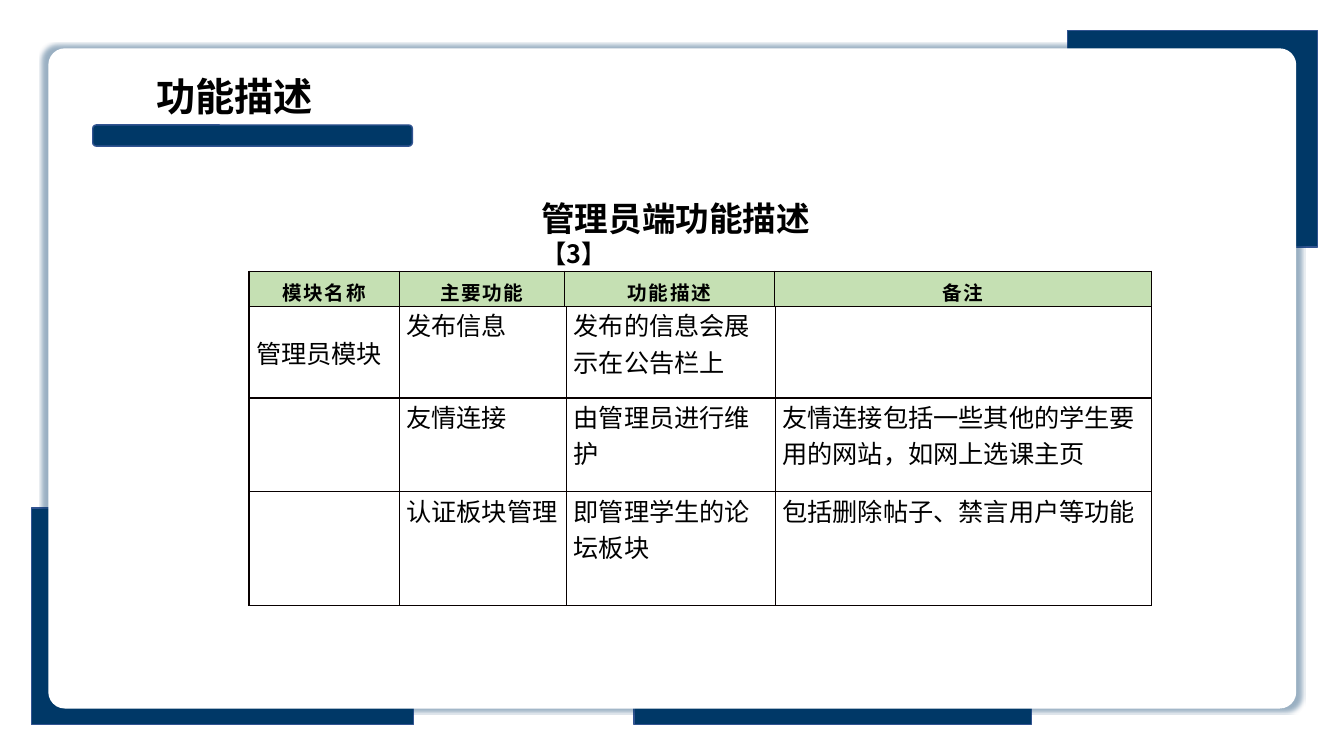
from dataclasses import dataclass, field
from typing import Any

from lxml.etree import SubElement
from pptx import Presentation
from pptx.dml.color import RGBColor
from pptx.enum.shapes import MSO_SHAPE
from pptx.enum.text import MSO_ANCHOR, PP_ALIGN
from pptx.oxml.ns import qn
from pptx.util import Inches, Pt

FONT = "Noto Sans CJK SC"
NAVY, EDGE, WHITE, BLACK = "003867", "325491", "FFFFFF", "000000"
BORDER, HEADER_GREEN = "080000", "C5E0B3"

presentation = Presentation()
presentation.slide_width = Inches(13.333)
presentation.slide_height = Inches(7.5)
slide = presentation.slides.add_slide(presentation.slide_layouts[6])


def across(percent: float) -> int:
    return round(presentation.slide_width * percent / 100)


def down(percent: float) -> int:
    return round(presentation.slide_height * percent / 100)


def colour(value: str) -> RGBColor:
    return RGBColor.from_string(value)


def set_all(target: Any, values: dict[str, Any]) -> None:
    for name, value in values.items():
        setattr(target, name, value)


# All boxes are given in percent of the slide's width and height
@dataclass
class Box:
    left: float
    top: float
    width: float
    height: float

    def lengths(self) -> tuple[int, int, int, int]:
        return across(self.left), down(self.top), across(self.width), down(self.height)


@dataclass
class Panel:
    box: Box
    kind: MSO_SHAPE = MSO_SHAPE.RECTANGLE
    fill: str = NAVY
    line: str | None = EDGE
    corner: float | None = None


@dataclass
class Label:
    box: Box
    runs: list[tuple[str, int]]
    wrap: bool


@dataclass
class Grid:
    left: float
    top: float
    columns: list[float]
    rows: list[float]
    cells: list[list[str]]
    size: int
    margins: tuple[float, float]
    bold: bool = False
    fill: str | None = None
    spacing: int = 0
    centred: bool = False
    middle: set[tuple[int, int]] = field(default_factory=set)


def add_run(paragraph: Any, text: str, size: int, bold: bool, spacing: int = 0) -> None:
    run = paragraph.add_run()
    run.text = text
    set_all(run.font, {"name": FONT, "size": Pt(size), "bold": bold})
    run.font.color.rgb = colour(BLACK)
    properties = run.font._element
    SubElement(properties, qn("a:ea"), typeface=FONT)
    if spacing:
        properties.set("spc", str(spacing))


def draw_panel(panel: Panel) -> Any:
    shape = slide.shapes.add_shape(panel.kind, *panel.box.lengths())
    shape.shadow.inherit = False
    shape.fill.solid()
    shape.fill.fore_color.rgb = colour(panel.fill)
    if panel.line:
        shape.line.color.rgb = colour(panel.line)
        shape.line.width = Pt(1)
    else:
        shape.line.fill.background()
    if panel.corner is not None:
        shape.adjustments[0] = panel.corner
    return shape


def add_glow_shadow(shape: Any) -> None:
    effects = shape._element.spPr.find(qn("a:effectLst"))
    shadow = SubElement(effects, qn("a:outerShdw"), blurRad=str(Pt(2)), dist="0", dir="0",
                        sx="101000", sy="101000", algn="ctr", rotWithShape="0")
    tint = SubElement(shadow, qn("a:srgbClr"), val=NAVY)
    SubElement(tint, qn("a:alpha"), val="40000")


def draw_label(label: Label) -> None:
    frame = slide.shapes.add_textbox(*label.box.lengths()).text_frame
    frame.word_wrap = label.wrap
    paragraph = frame.paragraphs[0]
    for index, (text, size) in enumerate(label.runs):
        if index:
            paragraph.add_line_break()
        add_run(paragraph, text, size, True)


def add_borders(cell: Any) -> None:
    properties = cell._tc.get_or_add_tcPr()
    for side in ("lnL", "lnR", "lnT", "lnB"):
        line = SubElement(properties, qn(f"a:{side}"), w=str(Pt(1)))
        SubElement(SubElement(line, qn("a:solidFill")), qn("a:srgbClr"), val=BORDER)


def draw_grid(grid: Grid) -> None:
    box = Box(grid.left, grid.top, sum(grid.columns), sum(grid.rows))
    table = slide.shapes.add_table(len(grid.rows), len(grid.columns), *box.lengths()).table
    set_all(table, {"first_row": False, "horz_banding": False})
    for column, width in zip(table.columns, grid.columns):
        column.width = across(width)
    for row, height in zip(table.rows, grid.rows):
        row.height = down(height)
    side, edge = (Inches(margin) for margin in grid.margins)
    for row_index, texts in enumerate(grid.cells):
        for column_index, text in enumerate(texts):
            cell = table.cell(row_index, column_index)
            in_middle = grid.centred or (row_index, column_index) in grid.middle
            set_all(cell, {
                "margin_left": side, "margin_right": side,
                "margin_top": edge, "margin_bottom": edge,
                "vertical_anchor": MSO_ANCHOR.MIDDLE if in_middle else MSO_ANCHOR.TOP,
            })
            add_borders(cell)
            if grid.fill:
                cell.fill.solid()
                cell.fill.fore_color.rgb = colour(grid.fill)
            else:
                cell.fill.background()
            paragraph = cell.text_frame.paragraphs[0]
            if grid.centred:
                set_all(paragraph, {"alignment": PP_ALIGN.CENTER, "line_spacing": 1.2})
            if text:
                add_run(paragraph, text, grid.size, grid.bold, grid.spacing)


# Navy blocks behind the card
for block in (Box(79.43, 4, 18.6, 28.67), Box(2.33, 67.2, 28.43, 28.67),
              Box(47.18, 67.2, 29.55, 28.67)):
    draw_panel(Panel(block))

# White card and the bar under the title
card = draw_panel(Panel(Box(3.6, 6.4, 92.85, 87.33), MSO_SHAPE.ROUNDED_RECTANGLE,
                        WHITE, None, 0.025))
add_glow_shadow(card)
draw_panel(Panel(Box(6.9, 16.53, 23.78, 2.8), MSO_SHAPE.ROUNDED_RECTANGLE))

# Table heading
draw_label(Label(Box(39.53, 25.47, 26.33, 12.13),
                 [("管理员端功能描述", 24), ("【3】", 18)], True))

# Body and header tables
draw_grid(Grid(
    18.53, 40.53, [11.18, 12.45, 15.53, 27.98], [12.13, 12.4, 15.07],
    [["管理员模块", "发布信息", "发布的信息会展示在公告栏上", ""],
     ["", "友情连接", "由管理员进行维护", "友情连接包括一些其他的学生要用的网站，如网上选课主页"],
     ["", "认证板块管理", "即管理学生的论坛板块", "包括删除帖子、禁言用户等功能"]],
    18, (0.07, 0), middle={(0, 0)}))
draw_grid(Grid(
    18.53, 35.87, [11.18, 12.3, 15.6, 28.05], [4.67],
    [["模块名称", "主要功能", "功能描述", "备注"]],
    14, (0.19, 0.01), bold=True, fill=HEADER_GREEN, spacing=120, centred=True))

# Slide title
draw_label(Label(Box(10.88, 8.93, 13.2, 7.6), [("功能描述", 28)], False))

presentation.save("out.pptx")
